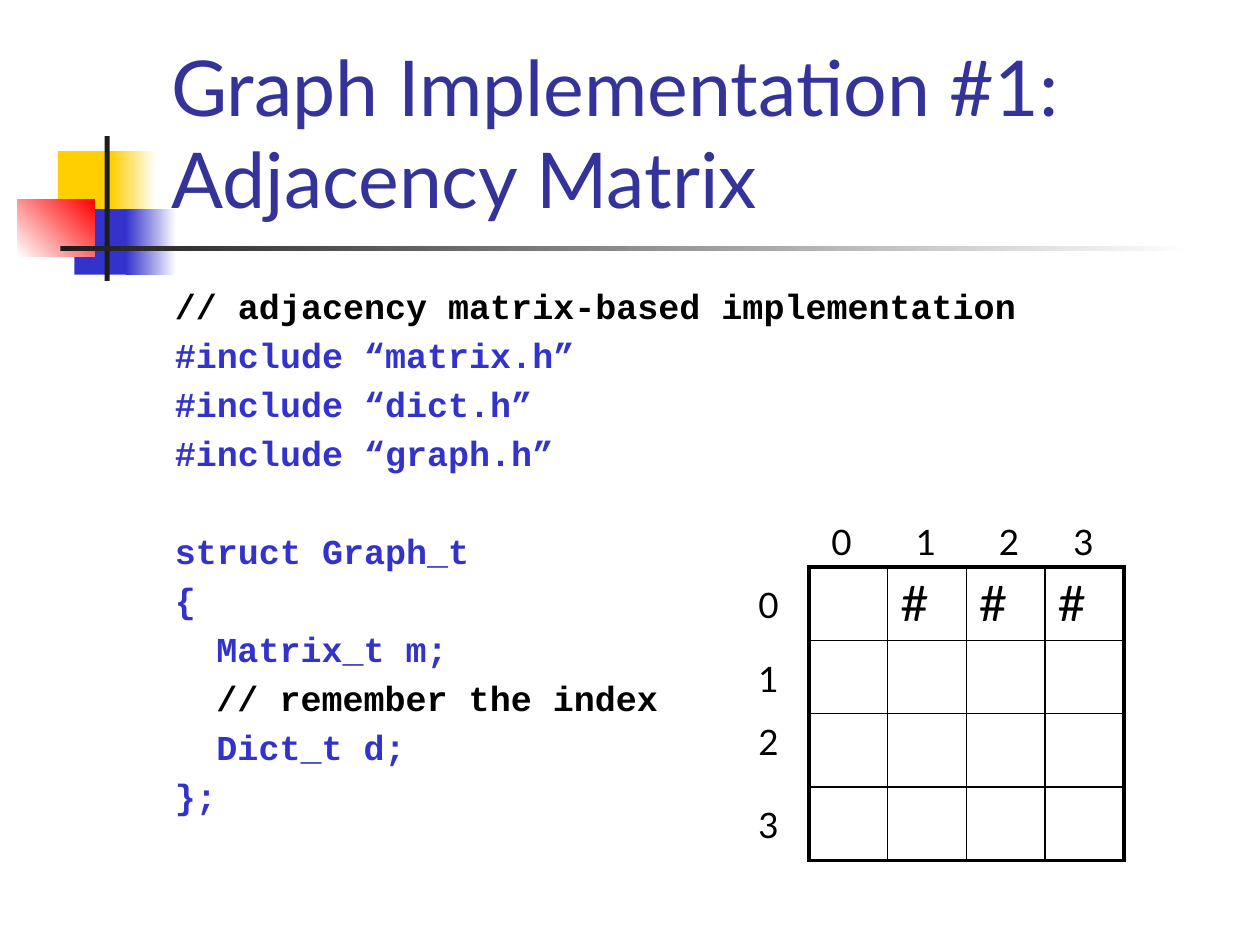
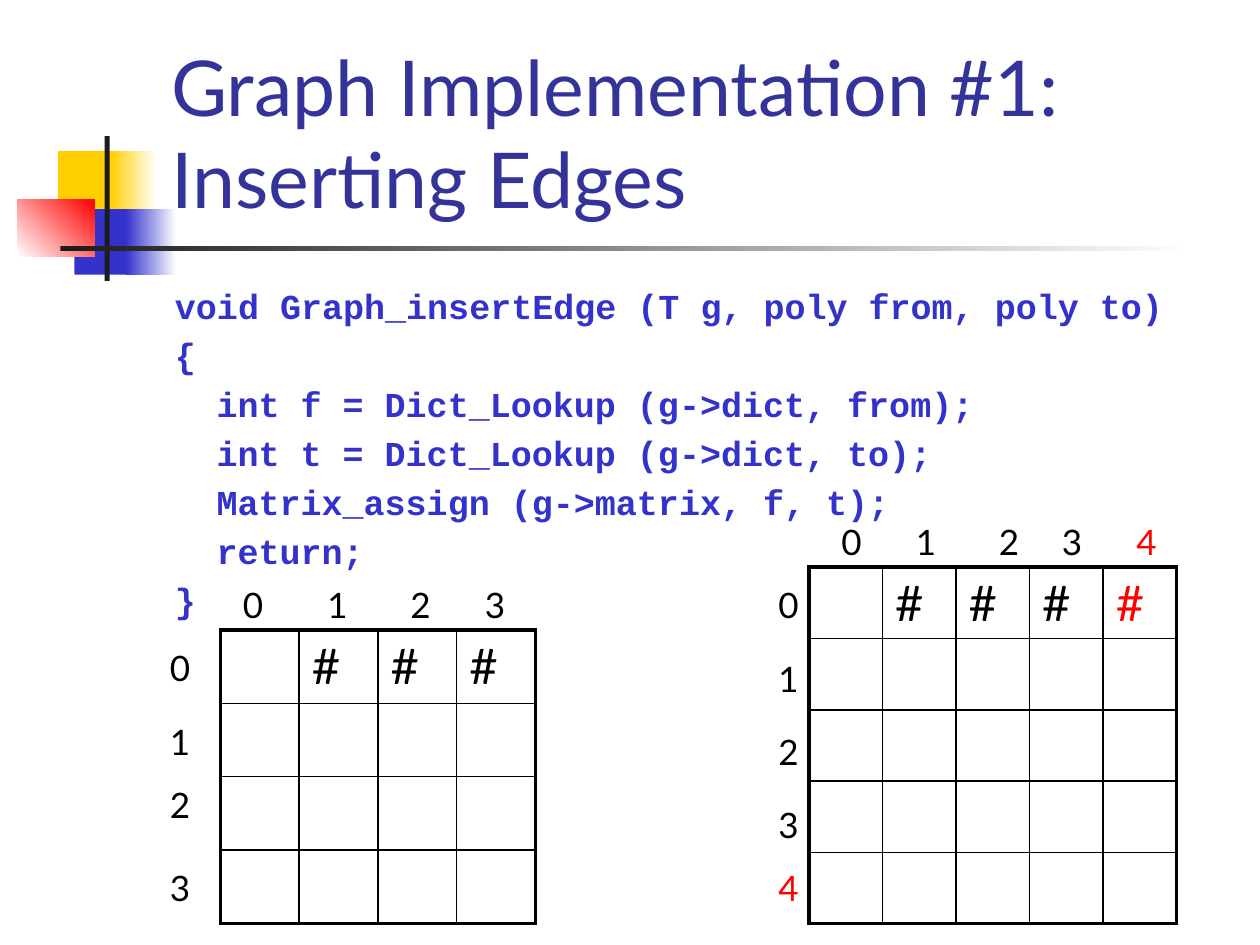
"""Build two slides on the adjacency matrix implementation of a graph."""
from lxml import etree
from pptx import Presentation
from pptx.dml.color import RGBColor
from pptx.enum.shapes import MSO_SHAPE
from pptx.enum.text import MSO_ANCHOR
from pptx.oxml.ns import qn
from pptx.util import Inches, Pt

RECTANGLE = MSO_SHAPE.RECTANGLE
TOP, BOTTOM = MSO_ANCHOR.TOP, MSO_ANCHOR.BOTTOM

BLACK = RGBColor(0x00, 0x00, 0x00)
WHITE = RGBColor(0xFF, 0xFF, 0xFF)
RED = RGBColor(0xFF, 0x00, 0x00)
YELLOW = RGBColor(0xFF, 0xCF, 0x01)
BLUE = RGBColor(0x33, 0x33, 0xCC)
CHARCOAL = RGBColor(0x1C, 0x1C, 0x1C)
TITLE_BLUE = RGBColor(0x33, 0x33, 0x99)

SANS, MONO = "Lato", "Courier New"
THIN, THICK = Pt(1), Pt(2.25)
CODE_GAP, CODE_PITCH = 4, 28
HANGING, CODE_INDENT = 0.38, 0.33

DECORATION = [
    ((0.46, 1.2, 0.48, 0.52), (YELLOW,), 0),
    ((0.88, 1.2, 0.36, 0.52), (YELLOW, WHITE), 0),
    ((0.59, 1.66, 0.46, 0.52), (BLUE,), 0),
    ((1, 1.66, 0.4, 0.52), (BLUE, WHITE), 0),
    ((0.14, 1.58, 0.61, 0.46), (WHITE, RED), 45),
    ((0.83, 1.08, 0.04, 1.15), (CHARCOAL,), 0),
    ((0.48, 1.95, 9, 0.04), (CHARCOAL, WHITE), 0),
]

STRUCT_CODE = """// adjacency matrix-based implementation
#include “matrix.h”
#include “dict.h”
#include “graph.h”

struct Graph_t
{
  Matrix_t m;
  // remember the index
  Dict_t d;
};"""

INSERT_CODE = """void Graph_insertEdge (T g, poly from, poly to)
{
  int f = Dict_Lookup (g->dict, from);
  int t = Dict_Lookup (g->dict, to);
  Matrix_assign (g->matrix, f, t);
  return;
}"""

FOUR_NODES = {
    "size": (2.5, 2.33),
    "row_label_left": -0.5,
    "row_label_tops": (0.08, 0.67, 1.17, 1.83),
    "column_label_lefts": (0.08, 0.75, 1.41, 2),
}
FIVE_NODES = {
    "size": (2.92, 2.83),
    "row_label_left": -0.34,
    "row_label_tops": (0.08, 0.67, 1.25, 1.83, 2.33),
    "column_label_lefts": (0.16, 0.75, 1.41, 1.91, 2.5),
}


def write(paragraph, text, size=20, font=SANS, color=BLACK, bold=False):
    """Add one formatted run to a paragraph."""
    run = paragraph.add_run()
    run.text = text
    run.font.size = Pt(size)
    run.font.name = font
    run.font.bold = bold
    run.font.color.rgb = color


def node_color(node):
    """Return red for the newly added node and black for the others."""
    return RED if node == 4 else BLACK


def draw_border(cell, side, width):
    """Give one side of a table cell a black line."""
    line = etree.SubElement(cell._tc.get_or_add_tcPr(), qn(f"a:ln{side}"), w=str(width))
    fill = etree.SubElement(line, qn("a:solidFill"))
    etree.SubElement(fill, qn("a:srgbClr"), val=str(BLACK))


class GraphDeck:
    """Hold the shared style and the slide being built."""

    def __init__(self):
        self.presentation = Presentation()
        self.presentation.slide_width = Inches(10)
        self.presentation.slide_height = Inches(7.5)
        self.slide = None

    def add_slide(self, title):
        """Start a slide with the shared decoration and a title."""
        self.slide = self.presentation.slides.add_slide(self.presentation.slide_layouts[6])
        for box, colors, angle in DECORATION:
            self.add_block(box, colors, angle)
        frame = self.add_frame((1.26, 0.23, 8.52, 1.6), BOTTOM)
        write(frame.paragraphs[0], title, size=44, color=TITLE_BLUE)

    def add_block(self, box, colors, angle):
        """Add a rectangle with a solid or two-colour gradient fill."""
        block = self.slide.shapes.add_shape(RECTANGLE, *map(Inches, box))
        block.shadow.inherit = False
        block.line.fill.background()
        if len(colors) == 1:
            block.fill.solid()
            block.fill.fore_color.rgb = colors[0]
            return
        block.fill.gradient()
        block.fill.gradient_angle = angle
        for position, (stop, color) in enumerate(zip(block.fill.gradient_stops, colors)):
            stop.color.rgb = color
            stop.position = position

    def add_frame(self, box, anchor=TOP):
        """Add a wrapping text box and return its text frame."""
        frame = self.slide.shapes.add_textbox(*map(Inches, box)).text_frame
        frame.word_wrap = True
        frame.vertical_anchor = anchor
        return frame

    def add_code(self, code, width):
        """Add a code listing with indents and gaps set by paragraph format."""
        frame = self.add_frame((1.29, 2.21, width, 4.5))
        paragraph, gap = frame.paragraphs[0], CODE_GAP
        for line in code.splitlines():
            if not line:
                gap += CODE_PITCH
                continue
            if paragraph.runs:
                paragraph = frame.add_paragraph()
            statement = line.lstrip()
            indent = CODE_INDENT if statement != line else 0
            paragraph.space_before = Pt(gap)
            properties = paragraph._p.get_or_add_pPr()
            properties.set("marL", str(Inches(HANGING + indent)))
            properties.set("indent", str(Inches(-HANGING)))
            color = BLACK if statement.startswith("//") else BLUE
            write(paragraph, statement, font=MONO, color=color, bold=True)
            gap = CODE_GAP

    def add_label(self, left, top, node):
        """Add a node number beside a matrix."""
        frame = self.add_frame((left, top, 0.33, 0.43))
        write(frame.paragraphs[0], str(node), color=node_color(node))

    def add_matrix(self, left, top, size, row_label_left, row_label_tops, column_label_lefts):
        """Add an adjacency matrix with its row and column numbers."""
        count = len(row_label_tops)
        last = count - 1
        width, height = map(Inches, size)
        frame = self.slide.shapes.add_table(count, count, Inches(left), Inches(top), width, height)
        matrix = frame.table
        matrix.first_row = matrix.horz_banding = False
        for row in range(count):
            matrix.rows[row].height = height // count
            matrix.columns[row].width = width // count
            for column in range(count):
                cell = matrix.cell(row, column)
                outer = {"L": column == 0, "R": column == last, "T": row == 0, "B": row == last}
                for side, is_outer in outer.items():
                    draw_border(cell, side, THICK if is_outer else THIN)
                cell.fill.background()
                if row == 0 and column > 0:
                    write(cell.text_frame.paragraphs[0], "#", size=28, color=node_color(column))
        for node, (down, across) in enumerate(zip(row_label_tops, column_label_lefts)):
            self.add_label(left + row_label_left, top + down, node)
            self.add_label(left + across, top - 0.42, node)


def main():
    """Build and save both slides."""
    deck = GraphDeck()
    deck.add_slide("Graph Implementation #1: Adjacency Matrix")
    deck.add_code(STRUCT_CODE, 8.46)
    deck.add_matrix(6.42, 4.5, **FOUR_NODES)

    deck.add_slide("Graph Implementation #1: Inserting Edges")
    deck.add_code(INSERT_CODE, 8.21)
    deck.add_matrix(1.75, 5, **FOUR_NODES)
    deck.add_matrix(6.42, 4.5, **FIVE_NODES)
    deck.presentation.save("out.pptx")


if __name__ == "__main__":
    main()
